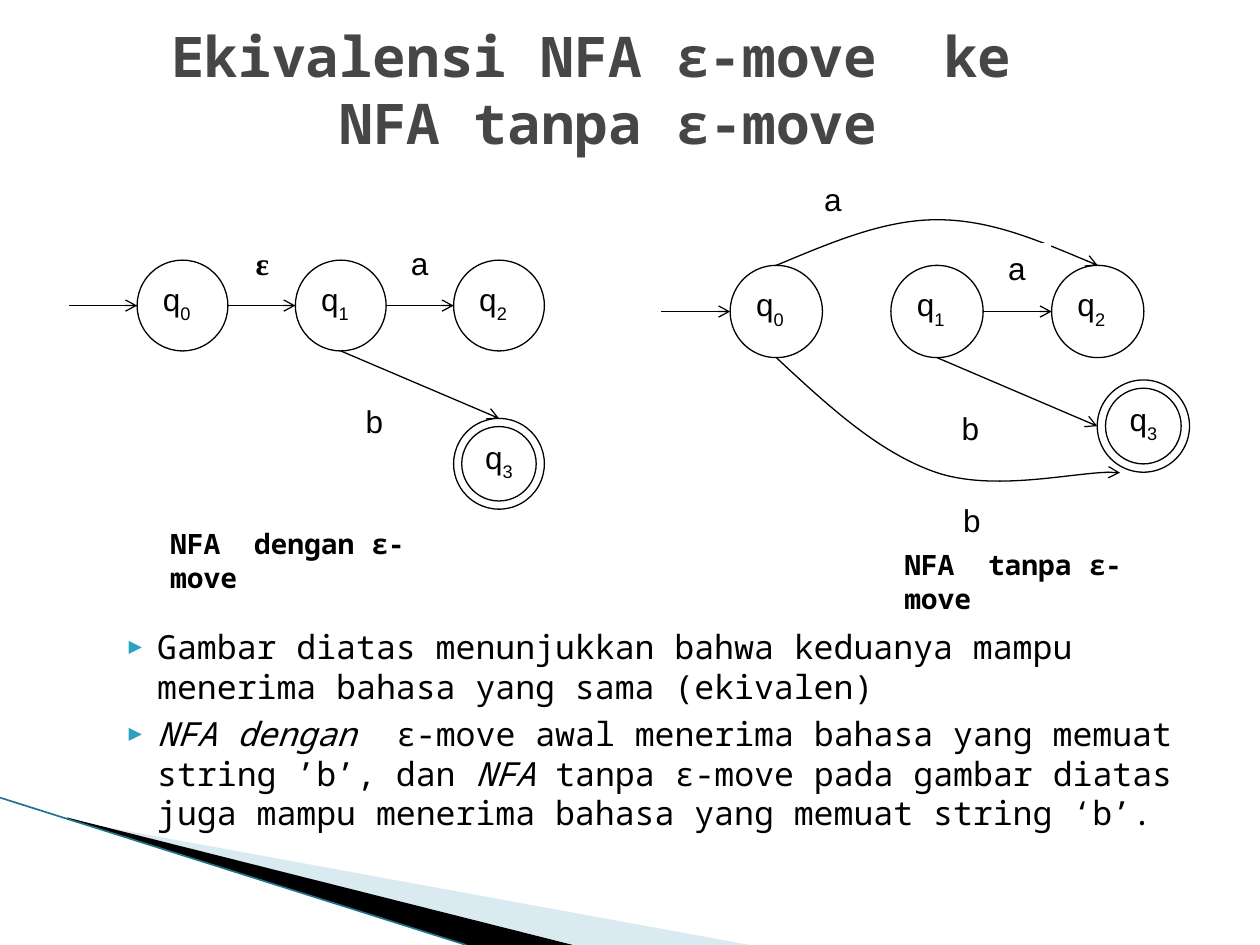
from lxml.etree import SubElement
from pptx import Presentation
from pptx.dml.color import RGBColor
from pptx.enum.shapes import MSO_CONNECTOR, MSO_SHAPE
from pptx.enum.text import MSO_ANCHOR, MSO_AUTO_SIZE, PP_ALIGN
from pptx.oxml.ns import qn
from pptx.util import Cm, Pt

MONO, SANS, SERIF = "Noto Sans Mono", "Arial", "Times New Roman"
rgb = RGBColor.from_string


def style(r, size, name, color="000000", bold=False):
    r.font.size, r.font.name, r.font.bold = Pt(size), name, bold
    r.font.color.rgb = rgb(color)


def stroke(line_shape, color="000000", width=0.75, arrow=True):
    line_shape.line.color.rgb = rgb(color)
    line_shape.line.width = Pt(width)
    if arrow:
        ln = line_shape.line._get_or_add_ln()
        SubElement(ln, qn("a:tailEnd"), type="arrow")
    sp_pr = line_shape._element.spPr
    if sp_pr.find(qn("a:effectLst")) is None:
        SubElement(sp_pr, qn("a:effectLst"))


prs = Presentation()
prs.slide_width, prs.slide_height = Cm(25.4), Cm(19.05)
s = prs.slides.add_slide(prs.slide_layouts[5])

# Corner decoration
wedges = [
    ("A0CBDC", 40, [(1.4, 16.54), (15.11, 19.05), (11.58, 19.05), (1.4, 16.51)]),
    ("000000", 100, [(1.35, 16.48), (11.55, 19.05), (9.4, 19.05), (1.37, 16.51)]),
]
for color, opacity, points in wedges:
    pts = [(Cm(x), Cm(y)) for x, y in points]
    fb = s.shapes.build_freeform(*pts[0])
    fb.add_line_segments(pts[1:], close=True)
    sp = fb.convert_to_shape()
    sp.shadow.inherit = False
    sp.fill.solid()
    sp.fill.fore_color.rgb = rgb(color)
    sp.line.fill.background()
    if opacity < 100:
        clr = sp._element.spPr.find(qn("a:solidFill"))[0]
        SubElement(clr, qn("a:alpha"), val=str(opacity * 1000))
edge = s.shapes.add_connector(MSO_CONNECTOR.STRAIGHT, Cm(0), Cm(16.08), Cm(9.4), Cm(19.05))
stroke(edge, "1F768B", 0.95, arrow=False)

# Title
title = s.shapes.title
title.left, title.top, title.width, title.height = Cm(0.84), Cm(0.2), Cm(22.86), Cm(3.18)
tf = title.text_frame
tf.text = "Ekivalensi NFA ε-move  ke \vNFA tanpa ε-move"
tf.vertical_anchor = MSO_ANCHOR.MIDDLE
tf.auto_size = MSO_AUTO_SIZE.NONE
tf.paragraphs[0].alignment = PP_ALIGN.CENTER
for r in tf.paragraphs[0].runs:
    style(r, 32, MONO, "464646", bold=True)

# Bulleted text: (text, italic) runs
bullets = [
    [("Gambar diatas menunjukkan bahwa keduanya mampu menerima bahasa yang sama (ekivalen)", False)],
    [("NFA dengan  ", True),
     ("ε-move awal menerima bahasa yang memuat string ’b’, dan ", False),
     ("NFA ", True),
     ("tanpa ε-move pada gambar diatas juga mampu menerima bahasa yang memuat string ‘b’.", False)],
]
body = s.shapes.add_textbox(Cm(1.9), Cm(12.5), Cm(22.86), Cm(4.45))
tf = body.text_frame
tf.word_wrap = True
for i, runs in enumerate(bullets):
    p = tf.add_paragraph() if i else tf.paragraphs[0]
    p.space_before = Pt(4 if i else 0)
    p_pr = p._p.get_or_add_pPr()
    p_pr.set("marL", str(Cm(1.02)))
    p_pr.set("indent", str(-Cm(0.71)))
    SubElement(SubElement(p_pr, qn("a:buClr")), qn("a:srgbClr"), val="2DA2BF")
    SubElement(p_pr, qn("a:buSzPct"), val="68000")
    SubElement(p_pr, qn("a:buFont"), typeface=MONO)
    SubElement(p_pr, qn("a:buChar"), char="▶")
    for text, italic in runs:
        r = p.add_run()
        r.text = text
        style(r, 19, MONO)
        r.font.italic = italic

# Automata: state centres, arrows as (state, side) pairs, labels by top left corner
SIDES = {"top": (0, -1), "left": (-1, 0), "bottom": (0, 1), "right": (1, 0)}
automata = [
    {"size": 1.83, "start": 1.39,
     "states": [(3.68, 6.16), (6.87, 6.16), (10.06, 6.16), (10.06, 9.35)],
     "arrows": [(0, "right", 1, "left"), (1, "right", 2, "left"), (1, "bottom", 3, "top")],
     "curves": [],
     "labels": [("ε", 4.6, 4.8), ("b", 6.86, 7.98), ("a", 7.77, 4.8)],
     "caption": ("NFA  dengan ε-move", 3.18, 10.49, 6.35)},
    {"size": 1.86, "start": 13.33,
     "states": [(15.65, 6.28), (18.89, 6.28), (22.13, 6.28), (23.05, 8.59)],
     "arrows": [(1, "right", 2, "left"), (1, "bottom", 3, "left")],
     "curves": [
         [(15.65, 5.35), (16.73, 4.9), (17.81, 4.43), (18.89, 4.43),
          (19.97, 4.43), (21.05, 4.9), (22.13, 5.35)],
         [(15.65, 7.21), (16.69, 8.18), (17.73, 9.14), (18.89, 9.53),
          (20.04, 9.91), (21.97, 9.45), (22.58, 9.53)]],
     "labels": [("b", 18.87, 8.13), ("a", 19.81, 4.9), ("b", 18.9, 9.98), ("a", 16.1, 3.51)],
     "caption": ("NFA  tanpa ε-move", 17.98, 10.92, 5.92)},
]
for nfa in automata:
    size, states = nfa["size"], nfa["states"]

    # States, the last one accepting
    for i, (x, y) in enumerate(states):
        final = i == len(states) - 1
        kind = MSO_SHAPE.DONUT if final else MSO_SHAPE.FLOWCHART_CONNECTOR
        sp = s.shapes.add_shape(kind, Cm(x - size / 2), Cm(y - size / 2), Cm(size), Cm(size))
        if final:
            sp.adjustments[0] = 0.09
        sp.shadow.inherit = False
        sp.fill.solid()
        sp.fill.fore_color.rgb = rgb("FFFFFF")
        stroke(sp, arrow=False)
        tf = sp.text_frame
        tf.vertical_anchor = MSO_ANCHOR.TOP
        p = tf.paragraphs[0]
        p.alignment = PP_ALIGN.CENTER if final else PP_ALIGN.LEFT
        for text in ("q", str(i)):
            r = p.add_run()
            r.text = text
            style(r, 18, SANS)
        r.font._element.set("baseline", "-30000")

    # Straight arrows
    x, y = states[0]
    ends = [(nfa["start"], y, x - size / 2, y)]
    for a, a_side, b, b_side in nfa["arrows"]:
        ends.append([c + d * size / 2
                     for state, side in ((a, a_side), (b, b_side))
                     for c, d in zip(states[state], SIDES[side])])
    for end in ends:
        stroke(s.shapes.add_connector(MSO_CONNECTOR.STRAIGHT, *[Cm(v) for v in end]))

    # Curved arrows: every three segments become one Bezier curve
    for curve in nfa["curves"]:
        pts = [(Cm(x), Cm(y)) for x, y in curve]
        fb = s.shapes.build_freeform(*pts[0])
        fb.add_line_segments(pts[1:], close=False)
        sp = fb.convert_to_shape()
        segments = list(sp._element.iter(qn("a:lnTo")))
        for i in range(0, len(segments), 3):
            bezier = SubElement(segments[i].getparent(), qn("a:cubicBezTo"))
            for segment in segments[i:i + 3]:
                bezier.append(segment[0])
                segment.getparent().remove(segment)
        sp.shadow.inherit = False
        sp.fill.background()
        stroke(sp)

    # Transition labels
    for text, x, y in nfa["labels"]:
        sp = s.shapes.add_shape(MSO_SHAPE.RECTANGLE, Cm(x), Cm(y), Cm(1.38), Cm(0.92))
        sp.shadow.inherit = False
        sp.fill.solid()
        sp.fill.fore_color.rgb = rgb("FFFFFF")
        sp.line.fill.background()
        tf = sp.text_frame
        tf.text = text
        tf.vertical_anchor = MSO_ANCHOR.TOP
        tf.paragraphs[0].alignment = PP_ALIGN.CENTER
        epsilon = text == "ε"
        style(tf.paragraphs[0].runs[0], 18, SERIF if epsilon else SANS, bold=epsilon)

    # Caption
    text, x, y, width = nfa["caption"]
    tf = s.shapes.add_textbox(Cm(x), Cm(y), Cm(width), Cm(0.94)).text_frame
    tf.text = text
    tf.word_wrap = True
    tf.auto_size = MSO_AUTO_SIZE.SHAPE_TO_FIT_TEXT
    style(tf.paragraphs[0].runs[0], 16, MONO, bold=True)

prs.save("out.pptx")
